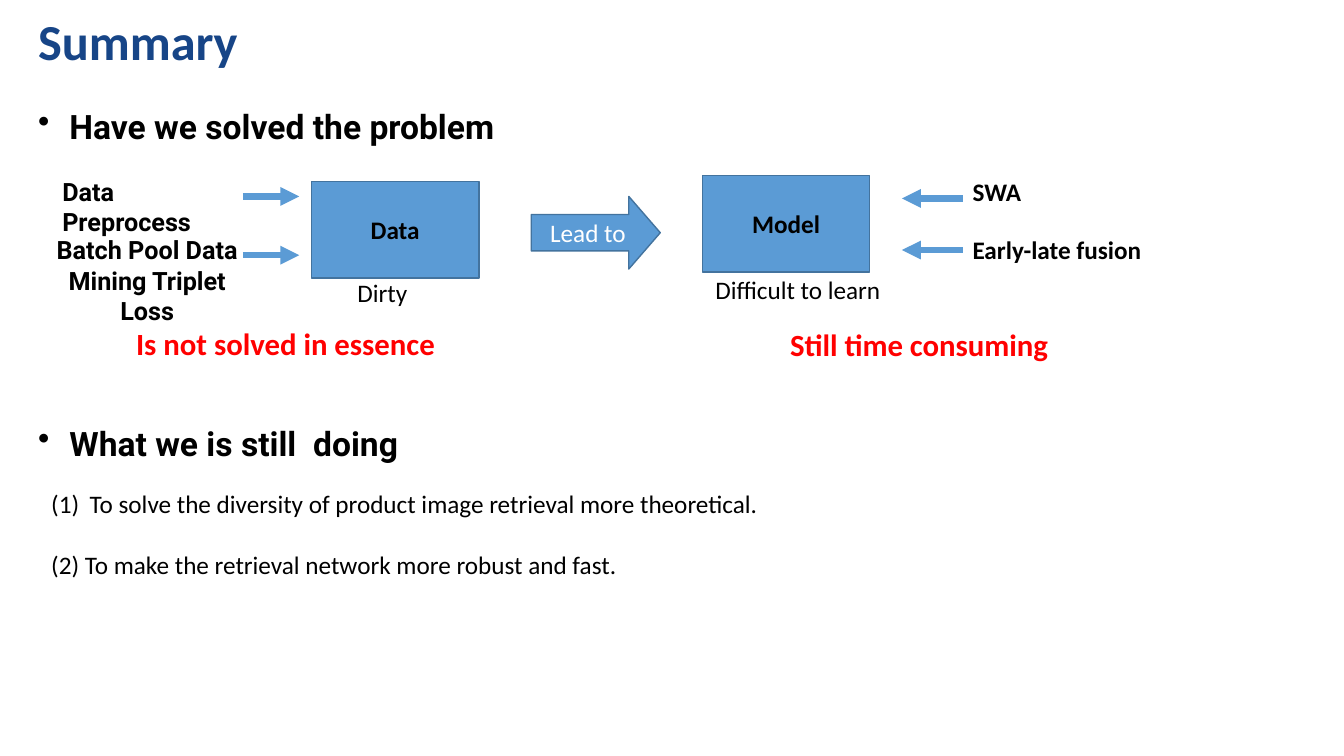
"""Build the summary slide on solved problems and continuing work."""
from lxml import etree
from pptx import Presentation
from pptx.dml.color import RGBColor
from pptx.enum.shapes import MSO_CONNECTOR, MSO_SHAPE
from pptx.enum.text import MSO_ANCHOR, PP_ALIGN
from pptx.oxml.ns import qn
from pptx.util import Cm, Pt

RECTANGLE = MSO_SHAPE.RECTANGLE
RIGHT_ARROW = MSO_SHAPE.RIGHT_ARROW
STRAIGHT = MSO_CONNECTOR.STRAIGHT
MIDDLE = MSO_ANCHOR.MIDDLE
LEFT = PP_ALIGN.LEFT
CENTER = PP_ALIGN.CENTER

NAVY = RGBColor(0x17, 0x45, 0x87)
BLUE = RGBColor(0x5B, 0x9B, 0xD5)
OUTLINE = RGBColor(0x43, 0x73, 0x9E)
BLACK = RGBColor(0, 0, 0)
WHITE = RGBColor(0xFF, 0xFF, 0xFF)
RED = RGBColor(0xFF, 0, 0)

presentation = Presentation()
presentation.slide_width = Cm(33.87)
presentation.slide_height = Cm(19.05)
slide = presentation.slides.add_slide(presentation.slide_layouts[6])


def write(shape, lines, size=18, font="Calibri", color=BLACK, bold=False,
          align=LEFT, wrap=True):
    """Fill a shape with one paragraph per line and return its paragraphs."""
    frame = shape.text_frame
    frame.word_wrap = wrap
    for index, line in enumerate(lines):
        paragraph = frame.paragraphs[0] if index == 0 else frame.add_paragraph()
        paragraph.alignment = align
        run = paragraph.add_run()
        run.text = line
        run.font.size = Pt(size)
        run.font.name = font
        run.font.color.rgb = color
        run.font.bold = bold
    return frame.paragraphs


def add_bullet(paragraph, indent, tag, **attributes):
    """Give a paragraph a hanging indent and a bullet element."""
    properties = paragraph._p.get_or_add_pPr()
    properties.set("marL", str(Cm(indent)))
    properties.set("indent", str(-Cm(indent)))
    etree.SubElement(properties, qn(tag), **attributes)


title = slide.shapes.add_textbox(Cm(0.71), Cm(0.41), Cm(32.46), Cm(1.4))
title.text_frame.vertical_anchor = MIDDLE
write(title, ["Summary"], 36, color=NAVY, bold=True)[0].line_spacing = 0.9

for top, text in [(2.54, "Have we solved the problem"),
                  (10.52, "What we is still  doing")]:
    heading = slide.shapes.add_textbox(Cm(0.71), Cm(top), Cm(29.44), Cm(1.27))
    paragraphs = write(heading, [text], 24, "Roboto", bold=True)
    add_bullet(paragraphs[0], 0.79, "a:buChar", char="•")

for kind, left, top, width, height, text, color in [
    (RECTANGLE, 7.85, 4.57, 4.22, 2.44, "Data", BLACK),
    (RECTANGLE, 17.7, 4.42, 4.22, 2.44, "Model", BLACK),
    (RIGHT_ARROW, 13.39, 4.95, 3.25, 1.83, "Lead to", WHITE),
]:
    block = slide.shapes.add_shape(kind, Cm(left), Cm(top), Cm(width), Cm(height))
    block.shadow.inherit = False
    block.fill.solid()
    block.fill.fore_color.rgb = BLUE
    block.line.color.rgb = OUTLINE
    block.line.width = Pt(1)
    if kind == RIGHT_ARROW:
        block.adjustments[1] = 0.433
    block.text_frame.vertical_anchor = MIDDLE
    write(block, [text], color=color, bold=kind == RECTANGLE, align=CENTER)

for left, top, width, height, lines, style in [
    (8.76, 6.86, 1.78, 1.02, ["Dirty"], {"wrap": False}),
    (17.78, 6.78, 4.72, 1.02, ["Difficult to learn"], {"wrap": False}),
    (1.32, 4.32, 4.8, 1.02, ["Data Preprocess"],
     {"font": "Roboto", "bold": True}),
    (0.89, 5.79, 5.64, 1.8, ["Batch Pool Data", "Mining Triplet Loss"],
     {"font": "Roboto", "bold": True, "align": CENTER}),
    (24.26, 4.32, 1.75, 1.02, ["SWA"], {"bold": True, "wrap": False}),
    (24.26, 5.79, 4.8, 1.02, ["Early-late fusion"],
     {"bold": True, "wrap": False}),
    (19.66, 8.08, 7.26, 1.19, ["Still time consuming"],
     {"size": 22, "color": RED, "bold": True, "wrap": False}),
    (3.18, 8.05, 8.13, 1.19, ["Is not solved in essence"],
     {"size": 22, "color": RED, "bold": True, "wrap": False}),
]:
    label = slide.shapes.add_textbox(Cm(left), Cm(top), Cm(width), Cm(height))
    write(label, lines, **style)

for start, end, heights in [(6.12, 7.54, (4.95, 6.43)),
                            (24.26, 22.73, (5.0, 6.3))]:
    for height in heights:
        arrow = slide.shapes.add_connector(
            STRAIGHT, Cm(start), Cm(height), Cm(end), Cm(height))
        arrow.line.color.rgb = BLUE
        arrow.line.width = Pt(4.5)
        etree.SubElement(arrow.line._get_or_add_ln(), qn("a:tailEnd"),
                         type="triangle")
        etree.SubElement(arrow._element.spPr, qn("a:effectLst"))

plans = slide.shapes.add_textbox(Cm(1.04), Cm(12.19), Cm(28.4), Cm(3.33))
paragraphs = write(plans, [
    "To solve the diversity of product image retrieval more theoretical.",
    "(2) To make the retrieval network more robust and fast.",
])
add_bullet(paragraphs[0], 0.97, "a:buAutoNum", type="arabicParenBoth")
paragraphs[1].space_before = Pt(22)

presentation.save("out.pptx")
